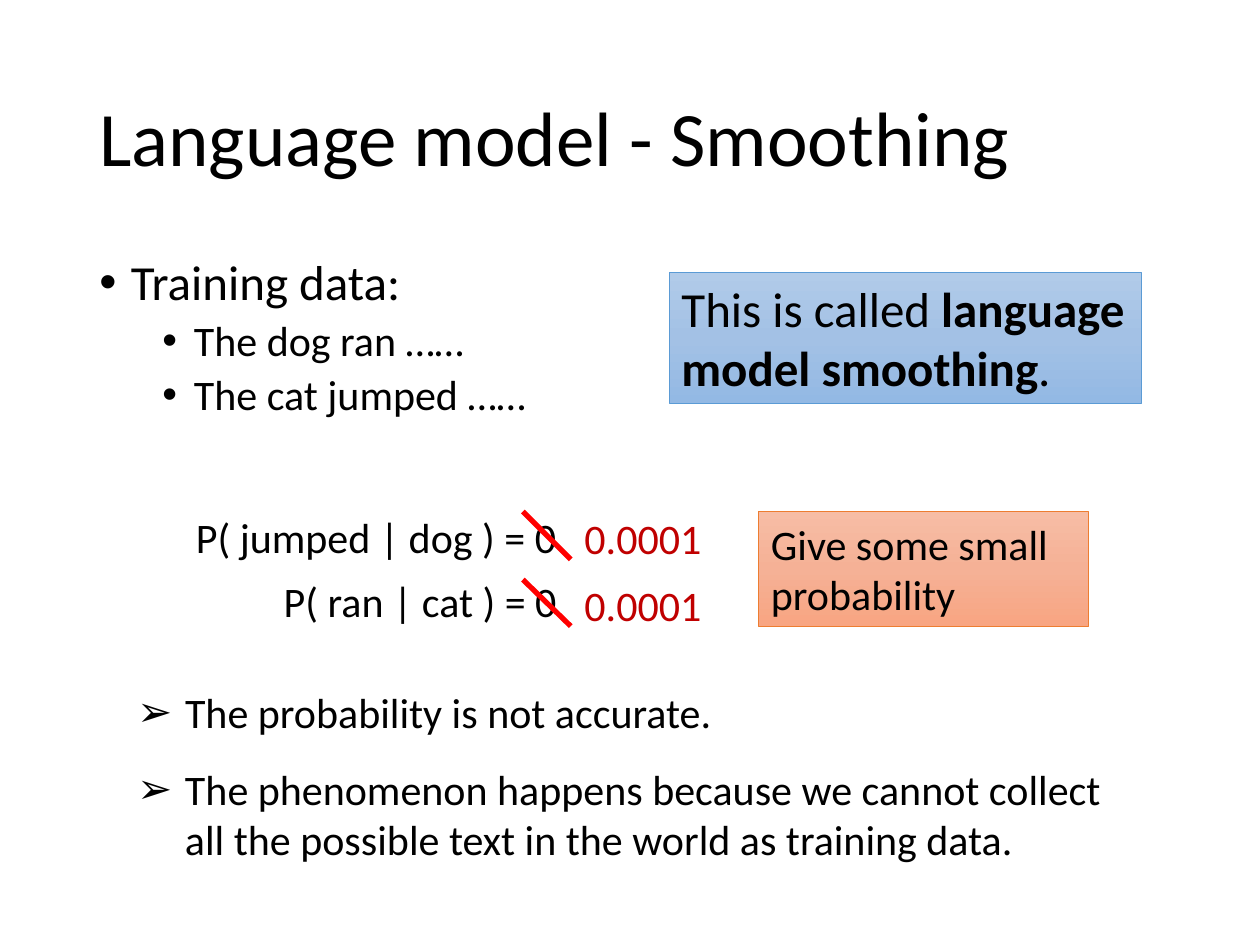
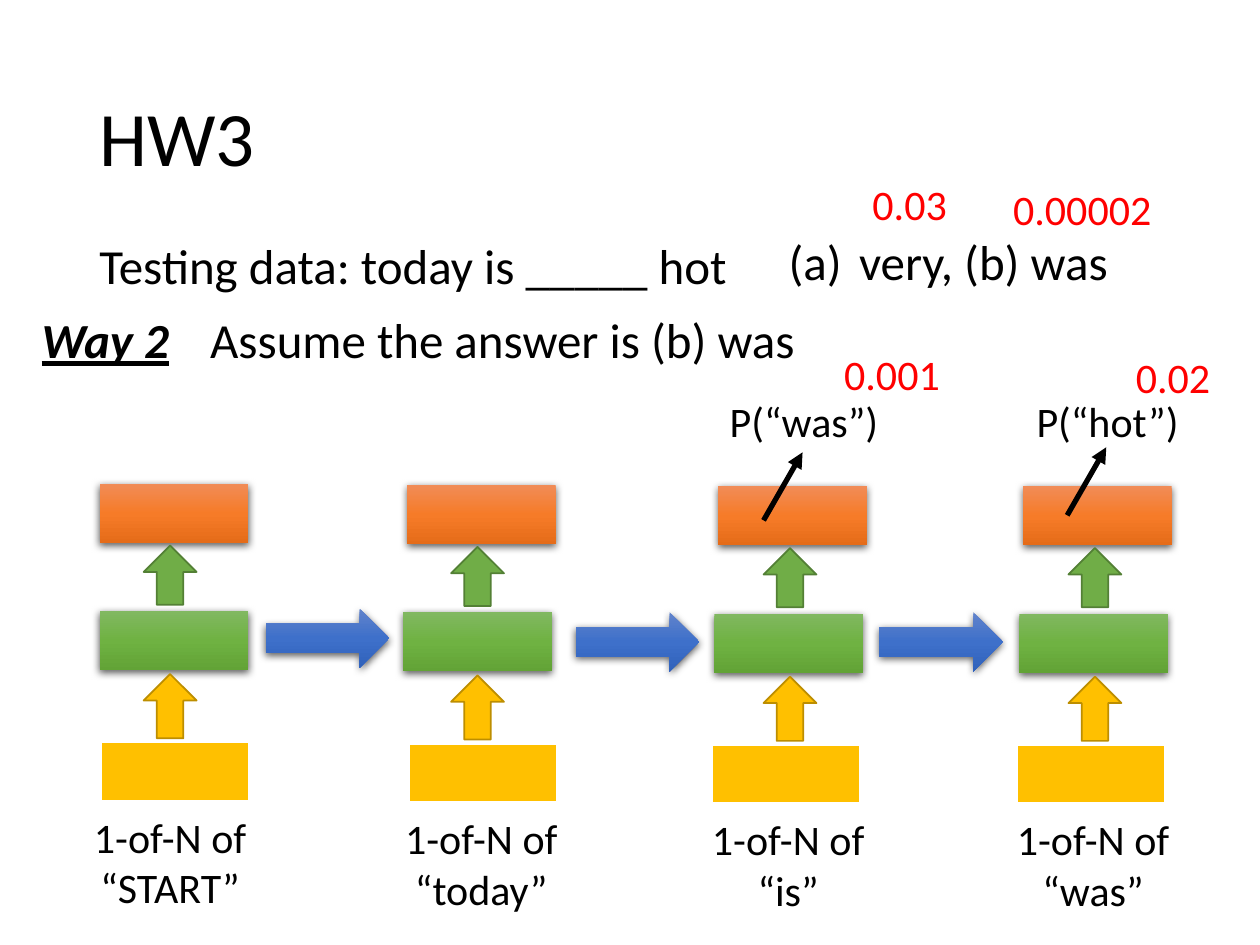
from lxml import etree
from pptx import Presentation
from pptx.dml.color import RGBColor
from pptx.enum.shapes import MSO_CONNECTOR, MSO_SHAPE
from pptx.enum.text import MSO_ANCHOR, PP_ALIGN
from pptx.oxml.ns import qn
from pptx.util import Pt

PX = 9144  # 100 px to the inch
LEFT, CENTER = PP_ALIGN.LEFT, PP_ALIGN.CENTER
MIDDLE = MSO_ANCHOR.MIDDLE
RECT, UP, RIGHT = MSO_SHAPE.RECTANGLE, MSO_SHAPE.UP_ARROW, MSO_SHAPE.RIGHT_ARROW
STRAIGHT = MSO_CONNECTOR.STRAIGHT
FONT = "Calibri"
COLORS = {
    "black": "000000", "white": "FFFFFF", "red": "FF0000", "dark_red": "C00000",
    "gold": "FFC000", "gold_edge": "BD8E00", "green": "70AD47", "green_edge": "538035",
    "peach_edge": "ED7D31", "sky_edge": "5B9BD5",
}
GRADIENTS = {
    "peach": ("F7BDA5", "F5B196", "F8A582"),
    "sky": ("B1CBE9", "A3C1E5", "93B9E4"),
    "orange_glow": ("F18C57", "F67B28", "E56C19"),
    "green_glow": ("81B861", "6FB242", "62A336"),
    "blue_glow": ("6183CB", "3E70CA", "3062BB"),
}


def place(page, at, kind=None, fill=None, edge=None, width=1, shadow=False):
    """Add a text box, or a preset shape when a kind is given; return its text frame."""
    left, top, wide, high = (length * PX for length in at)
    if kind is None:
        box = page.shapes.add_textbox(left, top, wide, high)
    else:
        box = page.shapes.add_shape(kind, left, top, wide, high)
        box.shadow.inherit = False
        if fill in GRADIENTS:
            box.fill.gradient()
            box.fill.gradient_angle = 270
            stops = box.fill._fill._gradFill.find(qn("a:gsLst"))
            stops.clear()
            for position, color in zip((0, 50000, 100000), GRADIENTS[fill]):
                stop = etree.SubElement(stops, qn("a:gs"), pos=str(position))
                etree.SubElement(stop, qn("a:srgbClr"), val=color)
        else:
            box.fill.solid()
            box.fill.fore_color.rgb = RGBColor.from_string(COLORS[fill])
        if edge:
            box.line.color.rgb = RGBColor.from_string(COLORS[edge])
            box.line.width = Pt(width)
        else:
            box.line.fill.background()
        if shadow:
            effects = box._element.spPr.find(qn("a:effectLst"))
            outer = etree.SubElement(effects, qn("a:outerShdw"), blurRad="57150",
                                     dist="19050", dir="5400000", algn="ctr", rotWithShape="0")
            tint = etree.SubElement(outer, qn("a:srgbClr"), val=COLORS["black"])
            etree.SubElement(tint, qn("a:alpha"), val="63000")
    box.text_frame.word_wrap = True
    return box.text_frame


def write(frame, text, size=24, color="black", align=LEFT, strong=False, spacing=None,
          before=0, bullet=None, margin=0, hang=0):
    """Add one paragraph; text between asterisks is bold."""
    para = frame.add_paragraph() if frame.text else frame.paragraphs[0]
    para.alignment = align
    para.space_before = Pt(before)
    if spacing:
        para.line_spacing = spacing
    for index, piece in enumerate(text.split("*")):
        span = para.add_run()
        span.text = piece
        span.font.name = FONT
        span.font.size = Pt(size)
        span.font.color.rgb = RGBColor.from_string(COLORS[color])
        span.font.bold = strong or index % 2 == 1
        span.font.italic = span.font.underline = strong
    if bullet:
        settings = para._p.get_or_add_pPr()
        settings.set("marL", str(margin * PX))
        settings.set("indent", str(-hang * PX))
        if bullet == "(a)":
            etree.SubElement(settings, qn("a:buFont"), typeface=FONT)
            etree.SubElement(settings, qn("a:buAutoNum"), type="alphaLcParenBoth")
        else:
            etree.SubElement(settings, qn("a:buFont"), typeface="Arial")
            etree.SubElement(settings, qn("a:buChar"), char=bullet)


deck = Presentation()
deck.slide_width, deck.slide_height = 1000 * PX, 750 * PX

# Pages and titles
pages = []
for title in ("Language model - Smoothing", "HW3"):
    page = deck.slides.add_slide(deck.slide_layouts[6])
    frame = place(page, (69, 40, 862, 145))
    frame.vertical_anchor = MIDDLE
    write(frame, title, size=44, spacing=0.9)
    pages.append(page)
smoothing, homework = pages

# Smoothing: training data
frame = place(smoothing, (69, 200, 862, 476))
write(frame, "Training data:", size=28, spacing=0.9, before=10, bullet="•", margin=25, hang=25)
for sentence in ("The dog ran ……", "The cat jumped ……"):
    write(frame, sentence, spacing=0.9, before=5, bullet="•", margin=75, hang=25)

# Smoothing: probabilities and their replacements
for text, left, top, new_top in (("P( jumped | dog ) = 0", 127, 401, 402),
                                 ("P( ran | cat ) = 0", 162, 452, 455)):
    write(place(smoothing, (left, top, 343, 50)), text, align=CENTER)
    write(place(smoothing, (454, new_top, 124, 50)), "0.0001", color="dark_red")

# Smoothing: remarks
for text, top, wide, high in (
        ("The probability is not accurate.", 540, 622, 50),
        ("The phenomenon happens because we cannot collect all the possible text "
         "in the world as training data.", 601, 814, 91)):
    write(place(smoothing, (99, top, wide, high)), text, bullet="➢", margin=38, hang=38)

# Smoothing: callouts
write(place(smoothing, (602, 406, 262, 91), RECT, "peach", "peach_edge", 0.5),
      "Give some small probability")
write(place(smoothing, (531, 216, 375, 104), RECT, "sky", "sky_edge", 0.5),
      "This is called *language model smoothing*.", size=28)

# Homework: question and assumption
write(place(homework, (69, 182, 633, 57)), "Testing data: today is _____ hot", size=28)
write(place(homework, (616, 179, 378, 57)), "very, (b) was", size=28,
      bullet="(a)", margin=56, hang=56)
write(place(homework, (0, 241, 167, 57)), "Way 2", size=28, align=CENTER, strong=True)
write(place(homework, (157, 241, 526, 57)), "Assume the answer is (b) was", size=28)

# Homework: network columns, each set slightly lower than the first by its drop
columns = [
    # word, drop, input left, hidden left, output left, arrow left, label left, label width
    ("START", 0, 80, 79, 79, 114, 61, 148),
    ("today", 1, 324, 320, 323, 358, 302, 160),
    ("is", 2, 565, 567, 570, 606, 541, 169),
    ("was", 2, 807, 809, 812, 848, 783, 169),
]
for word, drop, input_x, hidden_x, output_x, arrow_x, label_x, label_width in columns:
    place(homework, (input_x, 589 + drop, 118, 47), RECT, "gold", "white", 1.5)
    place(homework, (hidden_x, 485 + drop, 118, 47), RECT, "green_glow", shadow=True)
    place(homework, (output_x, 384 + drop, 118, 47), RECT, "orange_glow", shadow=True)
    place(homework, (arrow_x, 535 + drop, 42, 51), UP, "gold", "gold_edge")
    place(homework, (arrow_x, 433 + drop, 42, 47), UP, "green", "green_edge")
    write(place(homework, (label_x, 639 + drop, label_width, 91)),
          f"1-of-N of “{word}”", align=CENTER)

for left, top in ((211, 483), (457, 486), (698, 486)):
    place(homework, (left, top, 98, 47), RIGHT, "blue_glow", shadow=True)

# Homework: predicted words and scores
for text, color, left, top, wide in (
        ("P(“was”)", "black", 539, 309, 198), ("P(“hot”)", "black", 780, 309, 198),
        ("0.03", "red", 675, 137, 94), ("0.00002", "red", 786, 141, 146),
        ("0.001", "red", 645, 272, 126), ("0.02", "red", 884, 274, 94)):
    write(place(homework, (left, top, wide, 50)), text, color=color, align=CENTER)

# Strokes through the zeros, and arrows to the predicted words
for page, ends, color, arrow in (
        (smoothing, (415, 460, 453, 497), "red", False),
        (smoothing, (415, 406, 453, 444), "red", False),
        (homework, (606, 413, 637, 359), "black", True),
        (homework, (847, 409, 878, 355), "black", True)):
    stroke = page.shapes.add_connector(STRAIGHT, *(length * PX for length in ends))
    stroke.line.color.rgb = RGBColor.from_string(COLORS[color])
    stroke.line.width = Pt(3)
    if arrow:
        etree.SubElement(stroke.line._get_or_add_ln(), qn("a:tailEnd"), type="triangle")
    etree.SubElement(stroke._element.spPr, qn("a:effectLst"))

deck.save("out.pptx")
